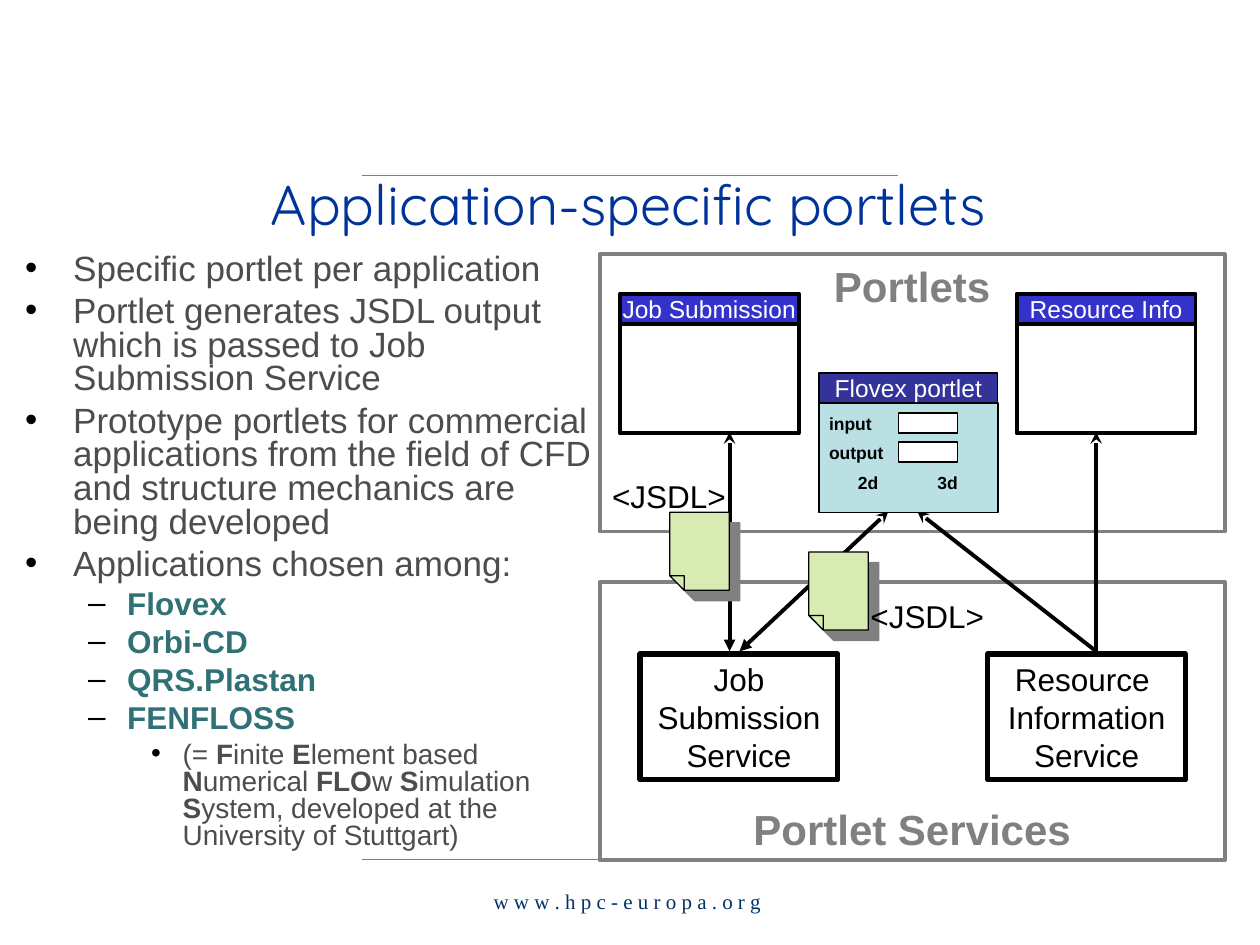
import lxml.etree
import pptx
import pptx.dml.color
import pptx.enum.shapes
import pptx.enum.text
import pptx.oxml.ns
import pptx.util

Pt = pptx.util.Pt
RGB = pptx.dml.color.RGBColor.from_string
qn = pptx.oxml.ns.qn
ALIGN = pptx.enum.text.PP_ALIGN
ANCHOR = pptx.enum.text.MSO_ANCHOR

THEME = {
    "sans": "Arial",
    "black": "000000", "white": "FFFFFF", "gray": "808080",
    "bar": "3333CC", "app_bar": "333399", "app_body": "BBE0E3", "paper": "D8EBB3",
    "title": {"name": "Quicksand", "size": 32, "color": "003399"},
    "footer": {"name": "Times New Roman", "size": 12, "color": "003366"},
    "frame": {"size": 24, "bold": True, "color": "808080"},
    "bar_text": {"size": 14, "color": "FFFFFF"},
    "label": {"size": 18, "color": "000000"},
    "field": {"size": 10, "bold": True, "color": "000000"},
}
LEVELS = [
    {"bullet": "•", "left": 27.4, "hang": 27.4, "before": 5,
     "font": {"size": 20, "color": "4D4D4D"}},
    {"bullet": "–", "left": 58.3, "hang": 22.3, "before": 4.5,
     "font": {"size": 18, "bold": True, "color": "307176"}},
    {"bullet": "•", "left": 90, "hang": 18, "before": 4,
     "font": {"size": 16, "color": "4D4D4D"}},
]

TITLE = "Application-specific portlets"
FOOTER = "w w w . h p c - e u r o p a . o r g"
BODY = [
    (0, "Specific portlet per application"),
    (0, "Portlet generates JSDL output which is passed to Job Submission Service"),
    (0, "Prototype portlets for commercial applications from the field of CFD "
        "and structure mechanics are being developed"),
    (0, "Applications chosen among:"),
    (1, "Flovex"),
    (1, "Orbi-CD"),
    (1, "QRS.Plastan"),
    (1, "FENFLOSS"),
    (2, "(= *F*inite *E*lement based *N*umerical *FLO*w *S*imulation "
        "*S*ystem, developed at the University of Stuttgart)"),
]
FRAMES = [("Portlets", 145.4, 158.4, ANCHOR.TOP),
          ("Portlet Services", 332.6, 159.1, ANCHOR.BOTTOM)]
PORTLETS = [("Job Submission", 354.2), ("Resource Info", 581)]
SERVICES = [(["Job Submission", "Service"], 365.8),
            (["Resource ", "Information", "Service"], 564.5)]
RULES = [100.1, 491]
ARROWS = [
    ((626.4, 372.2), (626.4, 247), None, "stealth"),
    ((626.4, 372.2), (524.2, 292.3), None, "stealth"),
    ((507.6, 292.3), (422.6, 372.2), "stealth", "triangle"),
    ((416.9, 247), (416.9, 372.2), "stealth", "triangle"),
]
DOCUMENTS = [(382.7, 292.7), (462.2, 315.4)]
JSDL_LABELS = [(342.7, 269.3), (490.3, 337.7)]
APP = ("Flovex portlet", 468, 213.1)
APP_FIELDS = [("input", 23), ("output", 39.6)]
APP_OPTIONS = [("2d", 22.3), ("3d", 67.7)]

PORTLET_W, BAR_H, PORTLET_H = 102.2, 17.3, 62.6
DOC_W, DOC_H, FOLD = 34, 44.6, 8.3


def set_font(font, fmt):
    for key, value in {"name": THEME["sans"], **fmt}.items():
        if key == "color":
            font.color.rgb = RGB(value)
        else:
            setattr(font, key, Pt(value) if key == "size" else value)


def set_frame(tf, inset=(7.2, 3.6), **fmt):
    x, y = inset
    values = {"margin_left": Pt(x), "margin_right": Pt(x), "margin_top": Pt(y),
              "margin_bottom": Pt(y), "auto_size": pptx.enum.text.MSO_AUTO_SIZE.NONE, **fmt}
    for key, value in values.items():
        setattr(tf, key, value)


def write(tf, lines, fmt, align=ALIGN.CENTER):
    for i, line in enumerate(lines):
        p = tf.add_paragraph() if i else tf.paragraphs[0]
        p.alignment = align
        r = p.add_run()
        r.text = line
        set_font(r.font, fmt)


def add_box(shapes, box, fill=None, line="000000", width=2.25):
    sp = shapes.add_shape(pptx.enum.shapes.MSO_SHAPE.RECTANGLE, *map(Pt, box))
    paint(sp, fill, line, width)
    return sp


def paint(sp, fill, line, width):
    sp.shadow.inherit = False
    if fill:
        sp.fill.solid()
        sp.fill.fore_color.rgb = RGB(fill)
    else:
        sp.fill.background()
    sp.line.color.rgb = RGB(line)
    sp.line.width = Pt(width)


def add_label(shapes, text, box, fmt, align=ALIGN.LEFT, **frame):
    tf = shapes.add_textbox(*map(Pt, box)).text_frame
    set_frame(tf, **frame)
    write(tf, [text], fmt, align)


def add_line(shapes, start, end, color, width, head=None, tail=None):
    c = shapes.add_connector(pptx.enum.shapes.MSO_CONNECTOR.STRAIGHT, *map(Pt, start + end))
    c.line.color.rgb = RGB(color)
    c.line.width = Pt(width)
    for tag, kind in (("a:headEnd", head), ("a:tailEnd", tail)):
        if kind:
            lxml.etree.SubElement(c.line._get_or_add_ln(), qn(tag), type=kind)
    lxml.etree.SubElement(c._element.spPr, qn("a:effectLst"))


def add_portlet(shapes, name, x, y, bar, body=None, widths=(2.25, 2.25)):
    group = shapes.add_group_shape().shapes
    add_box(group, (x, y + BAR_H, PORTLET_W, PORTLET_H), body, width=widths[0])
    tf = add_box(group, (x, y, PORTLET_W, BAR_H), bar, width=widths[1]).text_frame
    set_frame(tf, word_wrap=False, vertical_anchor=ANCHOR.MIDDLE)
    write(tf, [name], THEME["bar_text"])
    return group


def add_document(shapes, x, y):
    right, bottom = x + DOC_W, y + DOC_H
    cut, crease, side = (x + FOLD, bottom), (x + FOLD, bottom - FOLD), (x, bottom - FOLD)
    outline = [side, (x, y), (right, y), (right, bottom), cut, crease, side, crease, cut]
    fb = shapes.build_freeform(*map(Pt, cut), scale=1.0)
    fb.add_line_segments([(Pt(a), Pt(b)) for a, b in outline], close=True)
    sp = fb.convert_to_shape()
    paint(sp, THEME["paper"], THEME["black"], 0.75)
    effects = sp._element.spPr.find(qn("a:effectLst"))
    shadow = lxml.etree.SubElement(effects, qn("a:outerShdw"), dist=str(Pt(8.5)),
                                   dir=str(45 * 60000), algn="ctr", rotWithShape="0")
    lxml.etree.SubElement(shadow, qn("a:srgbClr"), val=THEME["gray"])


def place(sp, box):
    for key, value in zip(("left", "top", "width", "height"), box):
        setattr(sp, key, Pt(value))


def fill_body(tf):
    for i, (level, text) in enumerate(BODY):
        style = LEVELS[level]
        p = tf.add_paragraph() if i else tf.paragraphs[0]
        p.level = level
        pPr = p._p.get_or_add_pPr()
        pPr.set("marL", str(Pt(style["left"])))
        pPr.set("indent", str(-Pt(style["hang"])))
        color = lxml.etree.SubElement(pPr, qn("a:buClr"))
        lxml.etree.SubElement(color, qn("a:srgbClr"), val=THEME["black"])
        lxml.etree.SubElement(pPr, qn("a:buFont"), typeface=THEME["sans"])
        lxml.etree.SubElement(pPr, qn("a:buChar"), char=style["bullet"])
        p.alignment = ALIGN.LEFT
        p.line_spacing = 0.8
        p.space_before = Pt(style["before"] if i else 0)
        for n, part in enumerate(text.split("*")):
            r = p.add_run()
            r.text = part
            set_font(r.font, {"bold": n % 2 == 1, **style["font"]})


def main():
    prs = pptx.Presentation()
    prs.slide_width, prs.slide_height = Pt(720), Pt(540)
    s = prs.slides.add_slide(prs.slide_layouts[1])
    shapes = s.shapes
    title, body = s.placeholders[0], s.placeholders[1]

    place(title, (36.7, 71.3, 645.1, 89.3))
    set_frame(title.text_frame, (0, 0), word_wrap=True, vertical_anchor=ANCHOR.MIDDLE)
    write(title.text_frame, [TITLE], THEME["title"])
    place(body, (14.4, 145.4, 328.3, 362.9))
    set_frame(body.text_frame, (0, 0), word_wrap=True, vertical_anchor=ANCHOR.TOP)
    fill_body(body.text_frame)

    for y in RULES:
        add_line(shapes, (206.6, y), (513.4, y), THEME["gray"], 0.75)
    add_label(shapes, FOOTER, (275, 503.3, 187.2, 23), THEME["footer"],
              word_wrap=True, vertical_anchor=ANCHOR.MIDDLE)

    for name, y, h, anchor in FRAMES:
        tf = add_box(shapes, (342.7, y, 357.1, h), line=THEME["gray"]).text_frame
        set_frame(tf, word_wrap=False, vertical_anchor=anchor)
        write(tf, [name], THEME["frame"])
    for name, x in PORTLETS:
        add_portlet(shapes, name, x, 167.8, THEME["bar"])
    for lines, x in SERVICES:
        tf = add_box(shapes, (x, 373.7, 113, 72), width=3).text_frame
        set_frame(tf, word_wrap=True, vertical_anchor=ANCHOR.MIDDLE)
        write(tf, lines, THEME["label"])

    for start, end, head, tail in ARROWS:
        add_line(shapes, start, end, THEME["black"], 2.25, head, tail)
    for x, y in DOCUMENTS:
        add_document(shapes, x, y)
    for x, y in JSDL_LABELS:
        add_label(shapes, "<JSDL>", (x, y, 79.2, 28.8), THEME["label"], word_wrap=False)

    name, x, y = APP
    group = add_portlet(shapes, name, x, y, THEME["app_bar"], THEME["app_body"], (1, 0.75))
    for text, dy in APP_FIELDS:
        add_label(group, text, (x + 5.8, y + dy, 33.8, 12), THEME["field"],
                  inset=(0, 0), word_wrap=True)
        add_box(group, (x + 45.4, y + dy, 33.8, 11.5), THEME["white"], width=1)
    for text, dx in APP_OPTIONS:
        add_label(group, text, (x + dx, y + 56.9, 17.3, 11.5), THEME["field"],
                  inset=(0, 0), word_wrap=True)

    prs.save("out.pptx")


if __name__ == "__main__":
    main()
